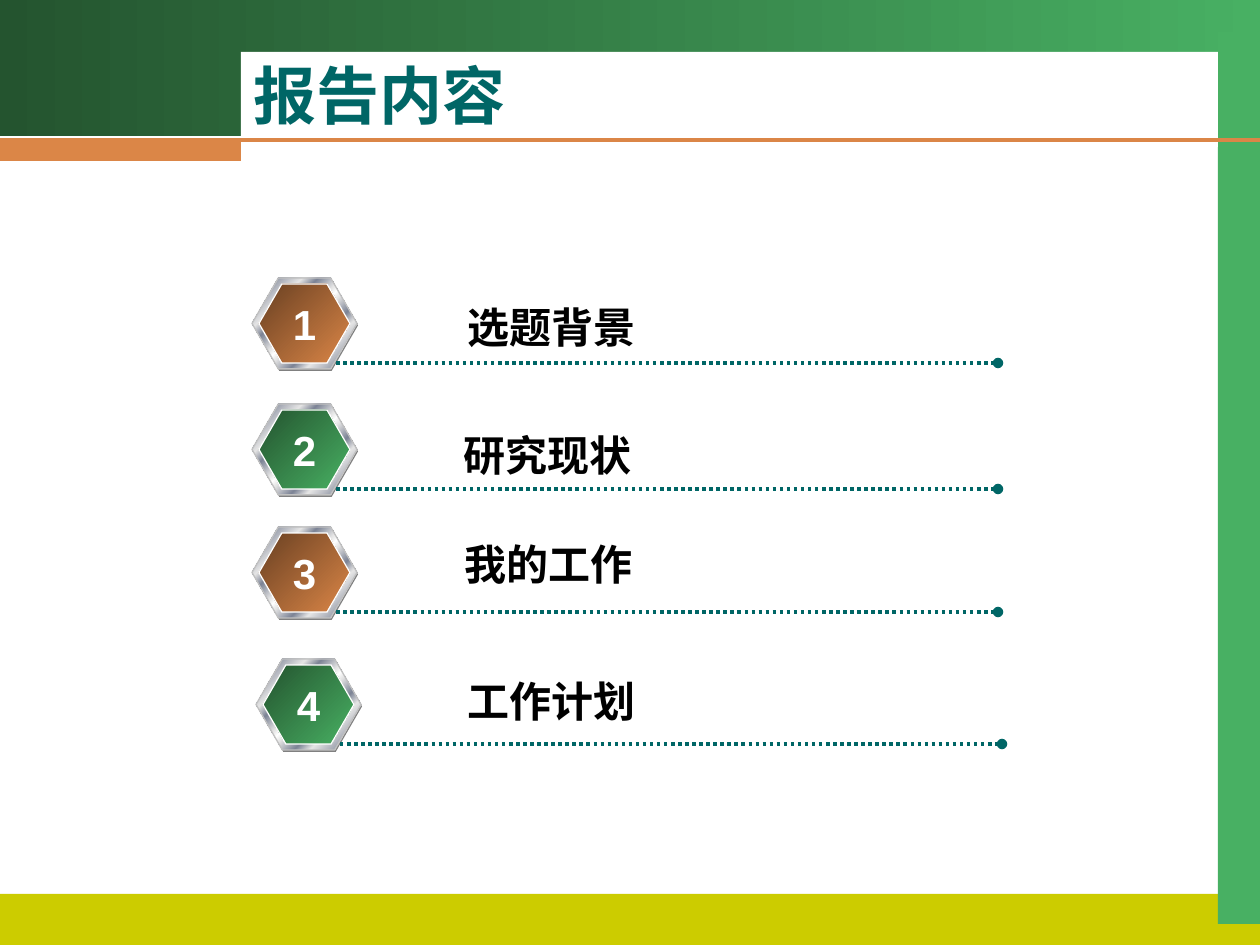
from lxml.etree import SubElement
from pptx import Presentation
from pptx.dml.color import RGBColor
from pptx.enum.dml import MSO_LINE
from pptx.enum.shapes import MSO_CONNECTOR, MSO_SHAPE
from pptx.enum.text import MSO_ANCHOR, MSO_AUTO_SIZE, PP_ALIGN
from pptx.oxml.ns import qn
from pptx.util import Pt

PX = 914400 / 126

WHITE = RGBColor(0xFF, 0xFF, 0xFF)
BLACK = RGBColor(0x00, 0x00, 0x00)
GRAY = RGBColor(0x80, 0x80, 0x80)
SILVER = RGBColor(0xC0, 0xC0, 0xC0)
LIGHT_METAL = RGBColor(0xE6, 0xE6, 0xE6)
DARK_METAL = RGBColor(0x7D, 0x84, 0x96)
TEAL = RGBColor(0x00, 0x66, 0x66)
OLIVE = RGBColor(0xCC, 0xCC, 0x00)
GREEN = RGBColor(0x48, 0xB0, 0x63)
DARK_GREEN = RGBColor(0x24, 0x54, 0x2F)
ORANGE = RGBColor(0xDB, 0x86, 0x47)
DARK_ORANGE = RGBColor(0x69, 0x40, 0x22)

GREEN_STOPS = [(0, DARK_GREEN), (100, GREEN)]
ORANGE_STOPS = [(0, DARK_ORANGE), (100, ORANGE)]
METAL_STOPS = [
    (0, LIGHT_METAL), (8, DARK_METAL), (26, LIGHT_METAL), (34, DARK_METAL),
    (46, LIGHT_METAL), (50, WHITE), (54, LIGHT_METAL), (66, DARK_METAL),
    (74, LIGHT_METAL), (93, DARK_METAL), (100, LIGHT_METAL),
]

TITLE = "报告内容"
ITEMS = [
    ("选题背景", (252, 278), (455, 295), ORANGE_STOPS),
    ("研究现状", (252, 404), (451, 423), GREEN_STOPS),
    ("我的工作", (252, 527), (452, 532), ORANGE_STOPS),
    ("工作计划", (256, 659), (455, 669), GREEN_STOPS),
]


def emu(*lengths):
    return [round(length * PX) for length in lengths]


def set_gradient(shape, stops, angle):
    shape.fill.gradient()
    shape.fill.gradient_angle = angle
    stop_list = shape._element.spPr.find(qn("a:gradFill")).find(qn("a:gsLst"))
    for stop in list(stop_list):
        stop_list.remove(stop)
    for position, color in stops:
        stop = SubElement(stop_list, qn("a:gs"), pos=str(position * 1000))
        SubElement(stop, qn("a:srgbClr"), val=str(color))


def add_block(shapes, kind, box, fill, angle=0, outline=None):
    shape = shapes.add_shape(kind, *emu(*box))
    shape.shadow.inherit = False
    if isinstance(fill, list):
        set_gradient(shape, fill, angle)
    else:
        shape.fill.solid()
        shape.fill.fore_color.rgb = fill
    if outline is None:
        shape.line.fill.background()
    else:
        shape.line.color.rgb = outline
        shape.line.width = Pt(0.75)
    return shape


def add_hexagon(shapes, box, fill, outline=None):
    shape = add_block(shapes, MSO_SHAPE.HEXAGON, box, fill, 315, outline)
    shape.adjustments[0] = 0.289


def add_line(shapes, start, end, color, width):
    line = shapes.add_connector(MSO_CONNECTOR.STRAIGHT, *emu(*start, *end))
    line.line.color.rgb = color
    line.line.width = Pt(width)
    SubElement(line._element.spPr, qn("a:effectLst"))
    return line


def add_text(shapes, box, text, size, color, align=PP_ALIGN.LEFT, wrap=False):
    frame = shapes.add_textbox(*emu(*box)).text_frame
    frame.word_wrap = wrap
    frame.auto_size = MSO_AUTO_SIZE.NONE if wrap else MSO_AUTO_SIZE.SHAPE_TO_FIT_TEXT
    frame.vertical_anchor = MSO_ANCHOR.MIDDLE if wrap else MSO_ANCHOR.TOP
    paragraph = frame.paragraphs[0]
    paragraph.alignment = align
    run = paragraph.add_run()
    run.text = text
    run.font.name = "Arial"
    run.font.size = Pt(size)
    run.font.bold = True
    run.font.color.rgb = color


def add_item(slide, number, label, origin, label_at, stops):
    x, y = origin
    shapes = slide.shapes.add_group_shape().shapes
    add_hexagon(shapes, (x + 1, y + 2, 105, 91), GRAY)
    add_hexagon(shapes, (x, y, 105, 91), METAL_STOPS, SILVER)
    add_hexagon(shapes, (x + 7, y + 6, 91, 79), stops, WHITE)
    line = add_line(shapes, (x + 84, y + 85), (x + 746, y + 85), TEAL, 2)
    line.line.dash_style = MSO_LINE.ROUND_DOT
    SubElement(line.line._get_or_add_ln(), qn("a:tailEnd"), type="oval")
    add_text(shapes, (*label_at, 195, 64), label, 24, BLACK)
    add_text(shapes, (x + 28, y + 14, 49, 63), str(number), 24, WHITE, PP_ALIGN.CENTER)


def main():
    presentation = Presentation()
    presentation.slide_width, presentation.slide_height = emu(1260, 945)
    slide = presentation.slides.add_slide(presentation.slide_layouts[6])

    for box, fill in [
        ((0, 0, 1260, 136), GREEN_STOPS),
        ((0, 894, 1260, 53), OLIVE),
        ((1218, 32, 42, 892), GREEN),
        ((241, 52, 977, 95), WHITE),
    ]:
        add_block(slide.shapes, MSO_SHAPE.RECTANGLE, box, fill)

    rule = slide.shapes.add_group_shape().shapes
    add_line(rule, (0, 140), (1260, 140), ORANGE, 2.25)
    add_block(rule, MSO_SHAPE.RECTANGLE, (0, 140, 241, 21), ORANGE)

    add_text(slide.shapes, (241, 52, 977, 85), TITLE, 36, TEAL, wrap=True)
    for number, item in enumerate(ITEMS, 1):
        add_item(slide, number, *item)

    presentation.save("out.pptx")


if __name__ == "__main__":
    main()
